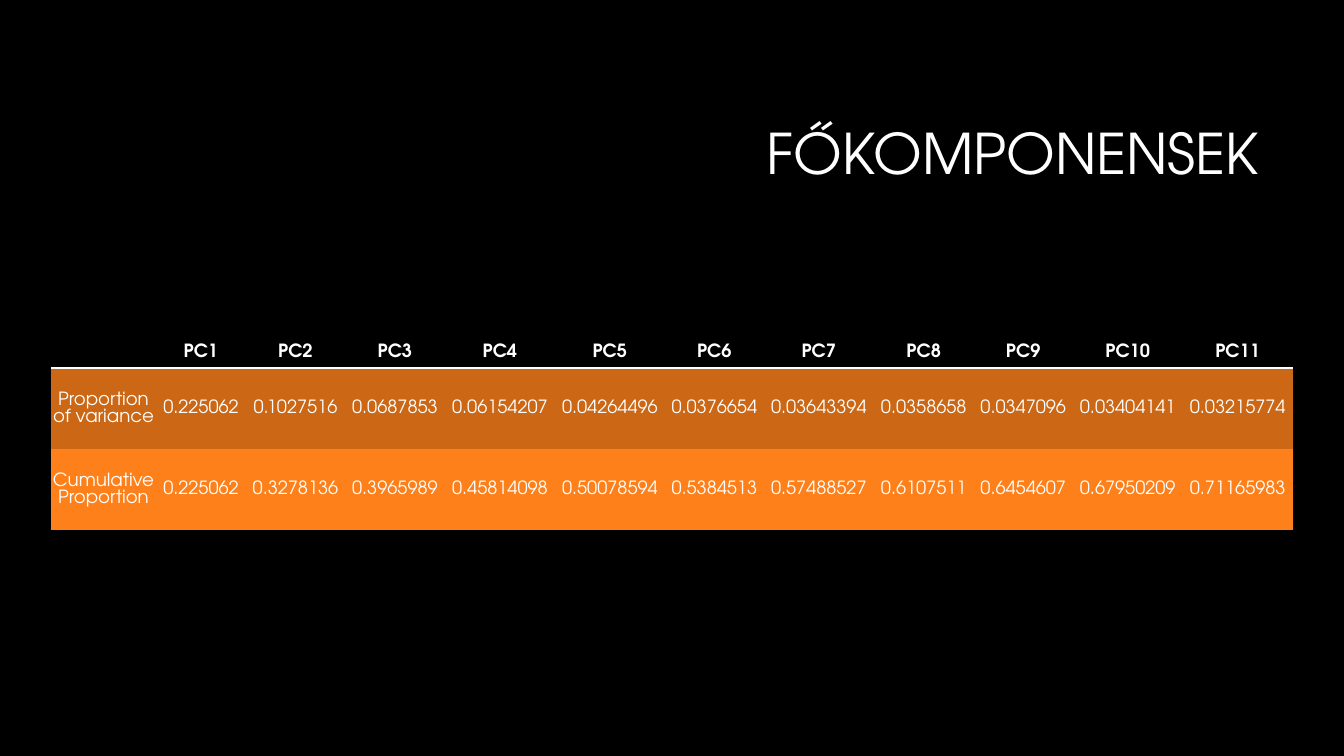
import pptx
import pptx.util
import pptx.dml.color
import pptx.enum.text
import pptx.oxml
import pptx.oxml.ns

PX = 914400 / 100.8
THEME = {
    "font": "TeX Gyre Adventor",
    "title_size": 40,
    "table_size": 13,
    "background": "000000",
    "text": "FFFFFF",
    "rows": ["000000", "CB6715", "FE801A"],
}
NO_STYLE_NO_GRID = "{2D5ABB26-0587-4C30-8999-92F81FD0307C}"

COLUMN_WIDTHS = [105, 90, 99, 100, 110, 110, 99, 110, 100, 99, 110, 110]
ROW_HEIGHTS = [31, 81, 81]
ROWS = [
    [""] + [f"PC{number}" for number in range(1, 12)],
    ["Proportion of variance", "0.225062", "0.1027516", "0.0687853", "0.06154207",
     "0.04264496", "0.0376654", "0.03643394", "0.0358658", "0.0347096",
     "0.03404141", "0.03215774"],
    ["Cumulative Proportion", "0.225062", "0.3278136", "0.3965989", "0.45814098",
     "0.50078594", "0.5384513", "0.57488527", "0.6107511", "0.6454607",
     "0.67950209", "0.71165983"],
]


def px(*lengths):
    """Turn pixel lengths into a list of EMU lengths."""
    return [pptx.util.Emu(round(length * PX)) for length in lengths]


def add_run(paragraph, text, size, bold=False):
    run = paragraph.add_run()
    run.text = text
    run.font.name = THEME["font"]
    run.font.size = pptx.util.Pt(size)
    run.font.bold = bold
    run.font.color.rgb = pptx.dml.color.RGBColor.from_string(THEME["text"])


presentation = pptx.Presentation()
presentation.slide_width, presentation.slide_height = px(1344, 756)
slide = presentation.slides.add_slide(presentation.slide_layouts.get_by_name("Title Only"))
background = slide.background.fill
background.solid()
background.fore_color.rgb = pptx.dml.color.RGBColor.from_string(THEME["background"])

# Title
title = slide.shapes.title
title.left, title.top, title.width, title.height = px(320, 85, 949, 142)
title.text_frame.auto_size = pptx.enum.text.MSO_AUTO_SIZE.NONE
title.text_frame.vertical_anchor = pptx.enum.text.MSO_ANCHOR.MIDDLE
heading = title.text_frame.paragraphs[0]
heading.alignment = pptx.enum.text.PP_ALIGN.RIGHT
heading.line_spacing = 0.9
add_run(heading, "FŐKOMPONENSEK", THEME["title_size"])

# Principal component table
frame = slide.shapes.add_table(
    len(ROWS), len(COLUMN_WIDTHS),
    *px(51, 336, sum(COLUMN_WIDTHS), sum(ROW_HEIGHTS)))
frame.element.xpath(".//a:tableStyleId")[0].text = NO_STYLE_NO_GRID
table = frame.table
table.horz_banding = False
for column, width in zip(table.columns, px(*COLUMN_WIDTHS)):
    column.width = width
for row, height in zip(table.rows, px(*ROW_HEIGHTS)):
    row.height = height

for row_index, (texts, color) in enumerate(zip(ROWS, THEME["rows"])):
    is_header = row_index == 0
    for column_index, text in enumerate(texts):
        cell = table.cell(row_index, column_index)
        cell.margin_left, cell.margin_top, cell.margin_right, cell.margin_bottom = px(1, 1, 1, 0)
        cell.vertical_anchor = pptx.enum.text.MSO_ANCHOR.MIDDLE
        cell.fill.solid()
        cell.fill.fore_color.rgb = pptx.dml.color.RGBColor.from_string(color)
        paragraph = cell.text_frame.paragraphs[0]
        paragraph.alignment = pptx.enum.text.PP_ALIGN.CENTER
        if text:
            add_run(paragraph, text, THEME["table_size"], is_header)

# White rule below the header
for properties in frame.element.xpath(".//a:tr[1]/a:tc/a:tcPr"):
    properties.insert(0, pptx.oxml.parse_xml(
        f'<a:lnB {pptx.oxml.ns.nsdecls("a")} w="{pptx.util.Pt(2)}"><a:solidFill>'
        f'<a:srgbClr val="{THEME["text"]}"/></a:solidFill></a:lnB>'))

presentation.save("out.pptx")
